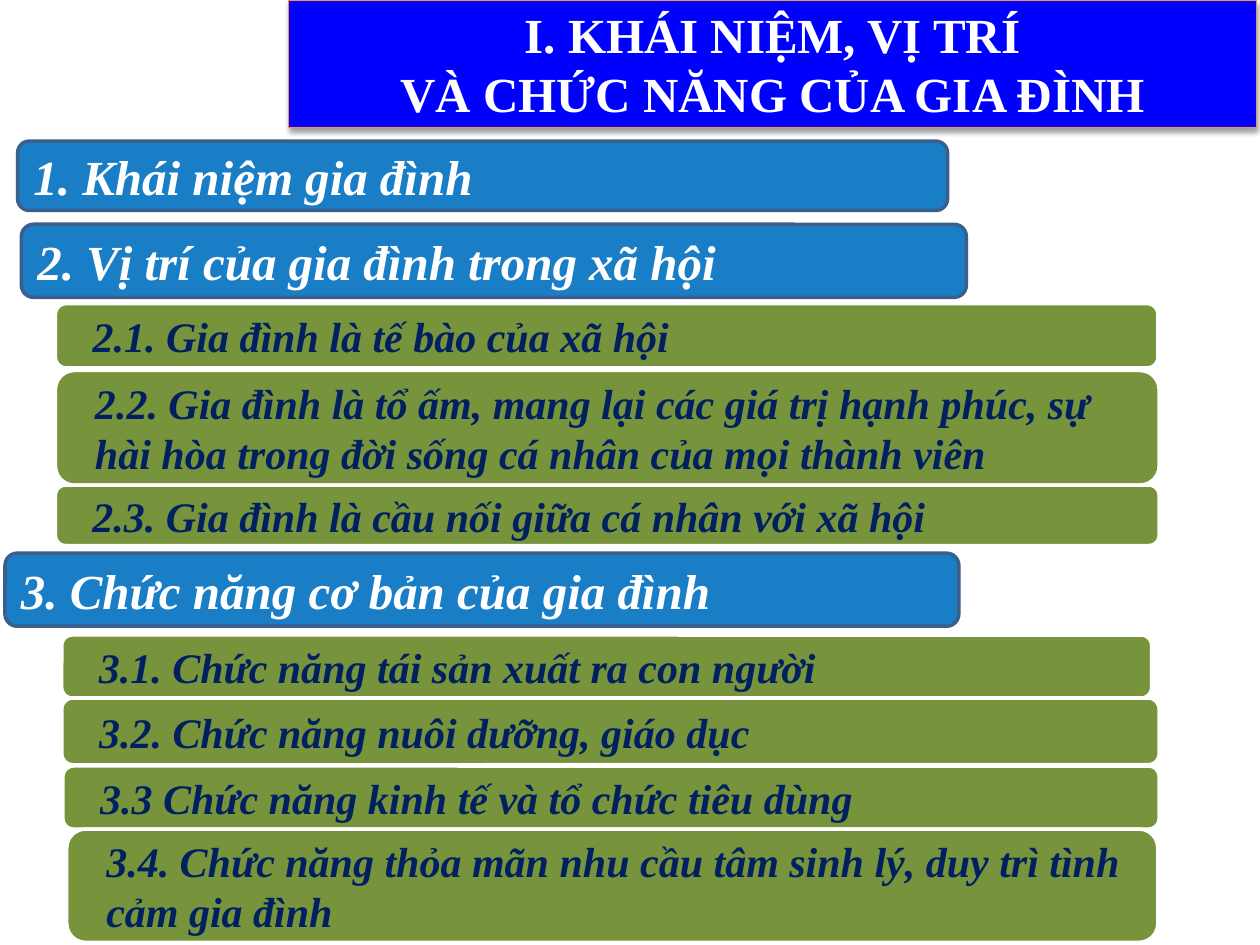
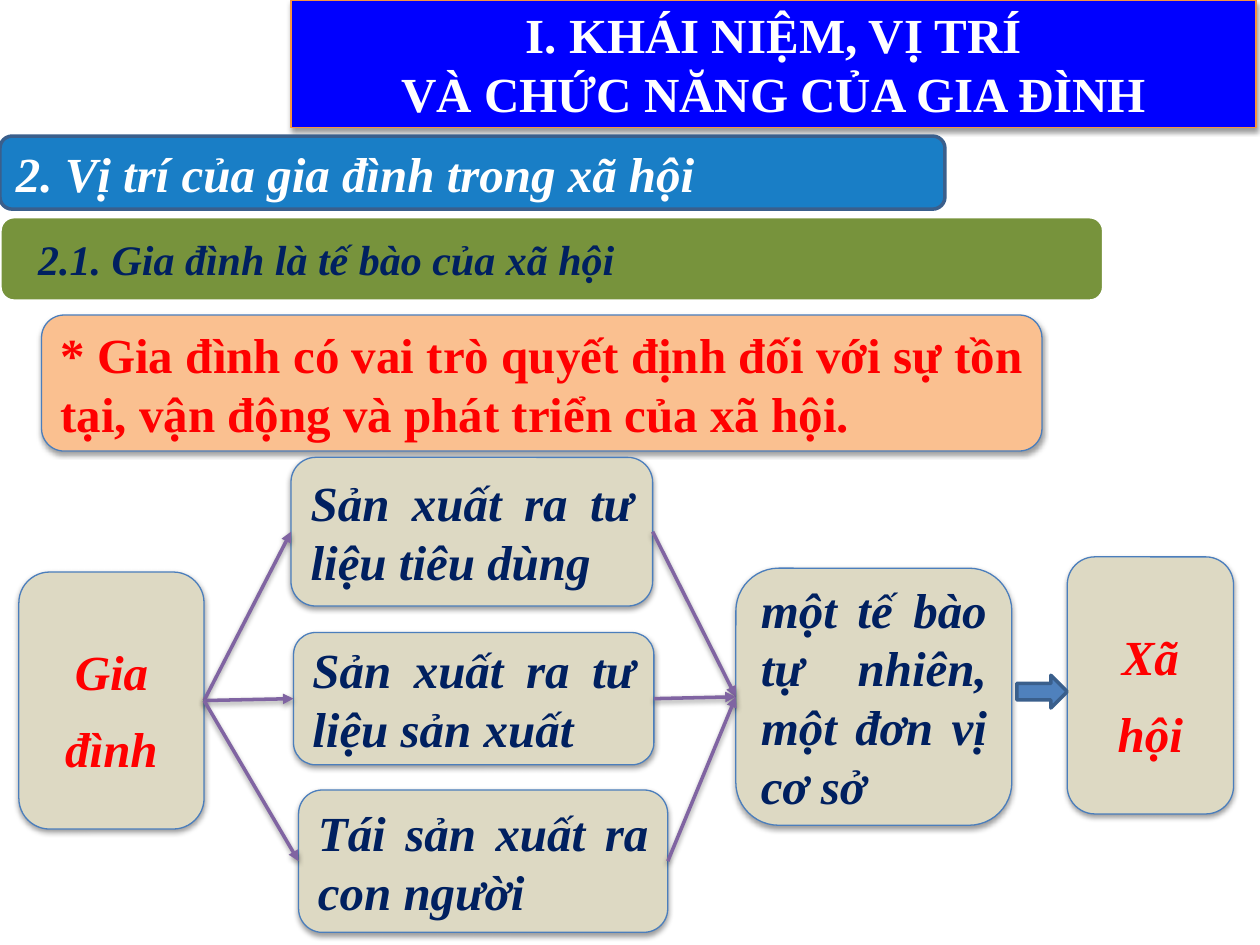
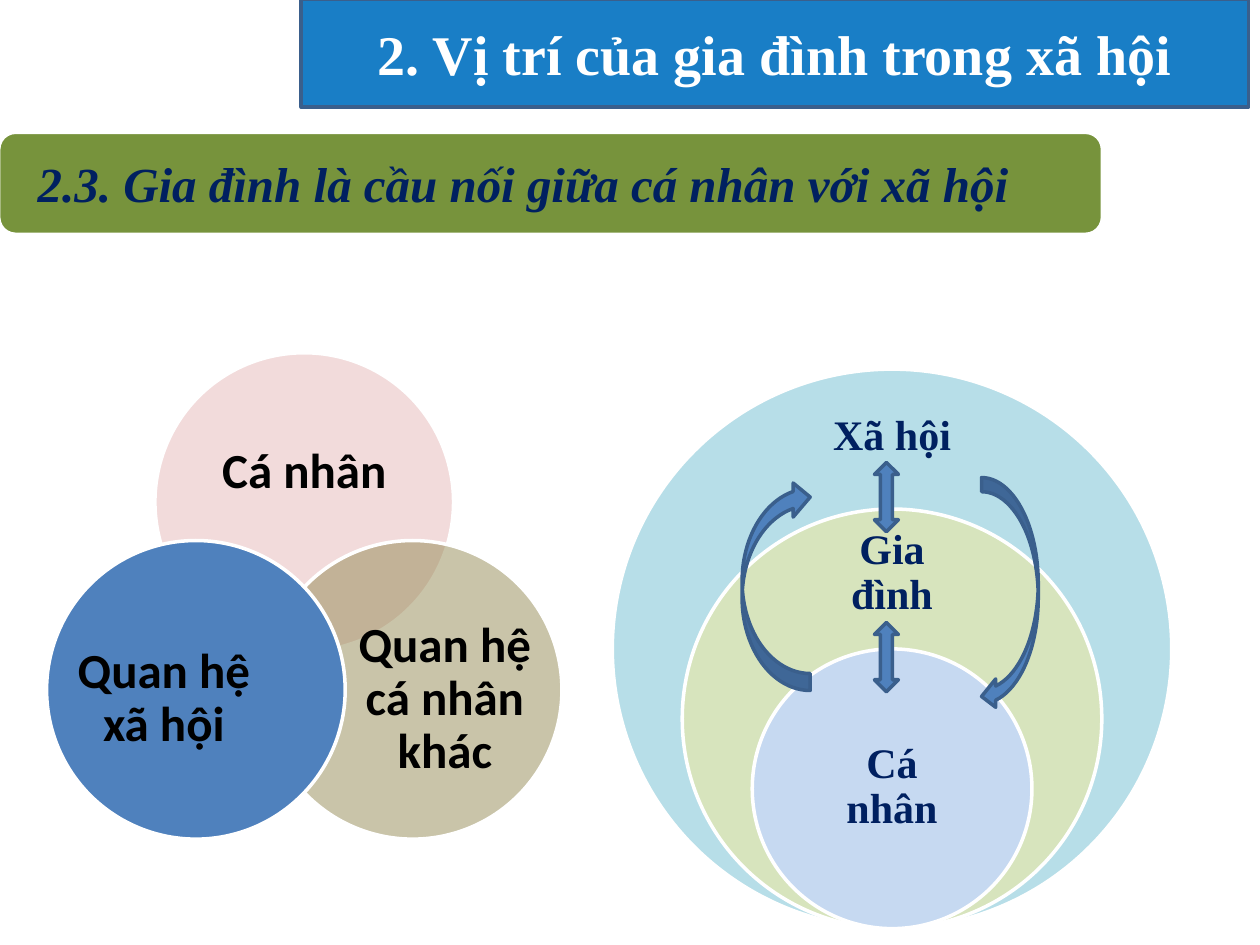
from dataclasses import dataclass, replace
from typing import NamedTuple, Optional

from lxml.etree import SubElement
from pptx import Presentation
from pptx.dml.color import RGBColor
from pptx.enum.shapes import MSO_CONNECTOR, MSO_SHAPE
from pptx.enum.text import MSO_ANCHOR, MSO_AUTO_SIZE, PP_ALIGN
from pptx.oxml import parse_xml
from pptx.oxml.ns import nsdecls, qn
from pptx.util import Inches, Pt


@dataclass(frozen=True)
class Theme:
    serif: str = "Times New Roman"
    sans: str = "Calibri"
    white: str = "FFFFFF"
    black: str = "000000"
    navy: str = "002060"
    red: str = "FF0000"
    banner: str = "0000FF"
    banner_edge: str = "F69240"
    section: str = "0070C0"
    green: str = "77933C"
    peach: str = "FAC090"
    sand: str = "DDD9C3"
    card_edge: str = "4B7EBC"
    arrow: str = "4F81BD"
    arrow_edge: str = "3A5F8C"
    link: str = "8064A2"
    small: int = 24
    normal: int = 28
    large: int = 32


T = Theme()


class Box(NamedTuple):
    left: float
    top: float
    width: float
    height: float


@dataclass(frozen=True)
class TextStyle:
    color: str
    size: int = T.normal
    font: str = T.serif
    italic: bool = False
    align: PP_ALIGN = PP_ALIGN.JUSTIFY
    spacing: float = 1.0
    margins: tuple[float, float, float, float] = (0.1, 0.05, 0.1, 0.05)


@dataclass(frozen=True)
class Look:
    fill: str
    edge: str
    edge_width: float = 2
    opacity: int = 100
    shadow: bool = False


class Circle(NamedTuple):
    left: float
    top: float
    size: float
    fill: str
    opacity: int
    text: str
    label: Box


BANNER = Look(T.banner, T.banner_edge, 0.75, shadow=True)
SECTION = Look(T.section, T.arrow_edge, opacity=90)
BAR = Look(T.green, T.white)
CARD = Look(T.sand, T.card_edge, 0.75, shadow=True)
CLAIM = replace(CARD, fill=T.peach)
ARROW = Look(T.arrow, T.arrow_edge)

TITLE_TEXT = TextStyle(T.white, align=PP_ALIGN.CENTER)
SECTION_TEXT = TextStyle(T.white, italic=True)
BAR_TEXT = TextStyle(T.navy, T.small, italic=True, align=PP_ALIGN.LEFT,
                     margins=(0.27, 0, 0.2, 0))
CLAIM_TEXT = TextStyle(T.red)
STEP_TEXT = TextStyle(T.navy, italic=True)
END_TEXT = TextStyle(T.red, italic=True, align=PP_ALIGN.CENTER, spacing=1.3)
VENN_TEXT = TextStyle(T.black, font=T.sans, align=PP_ALIGN.CENTER,
                      spacing=0.9, margins=(0, 0, 0, 0))
RING_TEXT = replace(VENN_TEXT, color=T.navy, size=T.small, font=T.serif)

CHAPTER = ("I. KHÁI NIỆM, VỊ TRÍ", "VÀ CHỨC NĂNG CỦA GIA ĐÌNH")
POSITION = "2. Vị trí của gia đình trong xã hội"
CELL = "2.1. Gia đình là tế bào của xã hội"
BRIDGE = "2.3. Gia đình là cầu nối giữa cá nhân với xã hội"

OUTLINE_SECTIONS = [
    (Box(0.14, 1.12, 7.38, 0.55), "1. Khái niệm gia đình"),
    (Box(0.17, 1.78, 7.5, 0.58), POSITION),
    (Box(0.04, 4.39, 7.57, 0.58), "3. Chức năng cơ bản của gia đình"),
]
OUTLINE_BARS = [
    (Box(0.44, 2.41, 8.75, 0.51), CELL),
    (Box(0.44, 2.94, 8.76, 0.91), "2.2. Gia đình là tổ ấm, mang lại các giá trị hạnh phúc, "
                                  "sự hài hòa trong đời sống cá nhân của mọi thành viên"),
    (Box(0.44, 3.85, 8.76, 0.48), BRIDGE),
    (Box(0.49, 5.04, 8.65, 0.5), "3.1. Chức năng tái sản xuất ra con người"),
    (Box(0.49, 5.54, 8.71, 0.53), "3.2. Chức năng nuôi dưỡng, giáo dục"),
    (Box(0.5, 6.08, 8.7, 0.5), "3.3 Chức năng kinh tế và tổ chức tiêu dùng"),
    (Box(0.53, 6.58, 8.66, 0.9), "3.4. Chức năng thỏa mãn nhu cầu tâm sinh lý, "
                                 "duy trì tình cảm gia đình"),
]
PRODUCTIONS = [
    (Box(2.31, 3.63, 2.87, 1.18), "Sản xuất ra tư liệu tiêu dùng"),
    (Box(2.33, 5.02, 2.86, 1.05), "Sản xuất ra tư liệu sản xuất"),
    (Box(2.37, 6.27, 2.93, 1.13), "Tái sản xuất ra con người"),
]
VENN = [
    Circle(1.23, 2.8, 2.37, "E6B9B8", 50, "Cá nhân", Box(1.55, 3.22, 1.73, 1.06)),
    Circle(2.09, 4.29, 2.37, "948A54", 50, "Quan hệ cá nhân khác",
           Box(2.82, 4.9, 1.42, 1.3)),
    Circle(0.37, 4.29, 2.37, T.arrow, 100, "Quan hệ xã hội", Box(0.59, 4.9, 1.42, 1.3)),
]
RING_CENTER, RING_BOTTOM = 7.08, 7.37
RINGS = [
    Circle(RING_CENTER - size / 2, RING_BOTTOM - size, size, fill, 100, text,
           Box(RING_CENTER - width / 2, middle - 0.35, width, 0.7))
    for size, fill, text, middle, width in (
        (4.44, "B7DEE8", "Xã hội", 3.47, 1.2),
        (3.33, "D7E4BD", "Gia đình", 4.55, 1.1),
        (2.22, "C6D9F1", "Cá nhân", 6.25, 1.1),
    )
]
RING_ARROWS = [
    (MSO_SHAPE.UP_DOWN_ARROW, Box(6.94, 4.94, 0.19, 0.55), 0),
    (MSO_SHAPE.UP_DOWN_ARROW, Box(6.94, 3.67, 0.19, 0.55), 0),
    (MSO_SHAPE.CURVED_LEFT_ARROW, Box(7.79, 3.79, 0.45, 1.85), 0),
    (MSO_SHAPE.CURVED_LEFT_ARROW, Box(5.89, 3.81, 0.54, 1.67), 180),
]
LEFT_SITE, RIGHT_SITE = 1, 3


def emu(box: Box) -> list[Inches]:
    return [Inches(v) for v in box]


def set_effects(sp_pr, shadow: bool) -> None:
    """Replace the theme effects by a soft drop shadow or by nothing."""
    effects = SubElement(sp_pr, qn("a:effectLst"))
    if shadow:
        effects.append(parse_xml(
            f'<a:outerShdw {nsdecls("a")} blurRad="40000" dist="20000" dir="5400000" '
            f'rotWithShape="0"><a:srgbClr val="{T.black}"><a:alpha val="38000"/>'
            '</a:srgbClr></a:outerShdw>'))


def apply_look(sp, look: Look) -> None:
    sp.fill.solid()
    sp.fill.fore_color.rgb = RGBColor.from_string(look.fill)
    sp.line.color.rgb = RGBColor.from_string(look.edge)
    sp.line.width = Pt(look.edge_width)
    sp_pr = sp.element.spPr
    if look.opacity < 100:
        color = sp_pr.find(qn("a:solidFill"))[0]
        SubElement(color, qn("a:alpha")).set("val", str(look.opacity * 1000))
    set_effects(sp_pr, look.shadow)


def write(sp, lines: tuple[str, ...], style: TextStyle) -> None:
    tf = sp.text_frame
    left, top, right, bottom = (Inches(m) for m in style.margins)
    frame = {"word_wrap": True, "auto_size": MSO_AUTO_SIZE.NONE,
             "vertical_anchor": MSO_ANCHOR.MIDDLE, "margin_left": left,
             "margin_top": top, "margin_right": right, "margin_bottom": bottom}
    for name, value in frame.items():
        setattr(tf, name, value)
    font = {"name": style.font, "size": Pt(style.size), "bold": True,
            "italic": style.italic}
    for i, line in enumerate(lines):
        p = tf.add_paragraph() if i else tf.paragraphs[0]
        p.alignment, p.line_spacing = style.align, style.spacing
        r = p.add_run()
        r.text = line
        for name, value in font.items():
            setattr(r.font, name, value)
        r.font.color.rgb = RGBColor.from_string(style.color)


def add_panel(s, box: Box, look: Look, text: str = "",
              style: Optional[TextStyle] = None,
              kind: MSO_SHAPE = MSO_SHAPE.ROUNDED_RECTANGLE):
    sp = s.shapes.add_shape(kind, *emu(box))
    apply_look(sp, look)
    if style:
        write(sp, (text,), style)
    return sp


def add_titled_slide(prs, box: Box, look: Look, lines: tuple[str, ...],
                     style: TextStyle = TITLE_TEXT):
    s = prs.slides.add_slide(prs.slide_layouts[5])
    sp = s.shapes.title
    sp.left, sp.top, sp.width, sp.height = emu(box)
    sp.element.spPr.insert(1, parse_xml(
        f'<a:prstGeom {nsdecls("a")} prst="roundRect"><a:avLst/></a:prstGeom>'))
    apply_look(sp, look)
    write(sp, lines, style)
    return s


def add_link(s, source, target) -> None:
    """Draw an arrow from the right side of source to the left side of target."""
    c = s.shapes.add_connector(MSO_CONNECTOR.STRAIGHT, 0, 0, 0, 0)
    c.begin_connect(source, RIGHT_SITE)
    c.end_connect(target, LEFT_SITE)
    c.line.color.rgb = RGBColor.from_string(T.link)
    c.line.width = Pt(2)
    SubElement(c.line._get_or_add_ln(), qn("a:tailEnd")).set("type", "triangle")
    set_effects(c.element.spPr, True)


def add_circles(s, circles: list[Circle], style: TextStyle) -> None:
    for c in circles:
        add_panel(s, Box(c.left, c.top, c.size, c.size),
                  Look(c.fill, T.white, opacity=c.opacity), kind=MSO_SHAPE.OVAL)
        write(s.shapes.add_textbox(*emu(c.label)), (c.text,), style)


def add_outline_slide(prs) -> None:
    s = add_titled_slide(prs, Box(2.29, 0, 7.68, 1.01), BANNER, CHAPTER)
    for box, text in OUTLINE_SECTIONS:
        add_panel(s, box, SECTION, text, SECTION_TEXT)
    for box, text in OUTLINE_BARS:
        add_panel(s, box, BAR, text, BAR_TEXT)


def add_cell_slide(prs) -> None:
    s = add_titled_slide(prs, Box(2.31, 0, 7.66, 1.01), BANNER, CHAPTER)
    add_panel(s, Box(0, 1.08, 7.5, 0.58), SECTION, POSITION, SECTION_TEXT)
    add_panel(s, Box(0, 1.72, 8.76, 0.67), BAR, CELL, BAR_TEXT)
    add_panel(s, Box(0.33, 2.5, 7.94, 1.08), CLAIM,
              "* Gia đình có vai trò quyết định đối với sự tồn tại, "
              "vận động và phát triển của xã hội.", CLAIM_TEXT)
    family = add_panel(s, Box(0.15, 4.54, 1.47, 2.04), CARD, "Gia đình", END_TEXT)
    add_panel(s, Box(8.47, 4.42, 1.32, 2.04), CARD, "Xã hội", END_TEXT)
    unit = add_panel(s, Box(5.84, 4.51, 2.19, 2.04), CARD,
                     "một tế bào tự nhiên, một đơn vị cơ sở", STEP_TEXT)
    steps = [add_panel(s, box, CARD, text, STEP_TEXT) for box, text in PRODUCTIONS]
    for step in steps:
        add_link(s, family, step)
        add_link(s, step, unit)
    add_panel(s, Box(8.07, 5.36, 0.4, 0.26), ARROW, kind=MSO_SHAPE.RIGHT_ARROW)


def add_bridge_slide(prs) -> None:
    s = add_titled_slide(prs, Box(2.39, -0.01, 7.52, 0.86), SECTION, (POSITION,),
                         replace(TITLE_TEXT, size=T.large))
    add_panel(s, Box(-0.01, 1.05, 8.76, 0.81), BAR, BRIDGE,
              replace(BAR_TEXT, size=T.normal))
    add_circles(s, VENN, VENN_TEXT)
    add_circles(s, RINGS, RING_TEXT)
    for kind, box, rotation in RING_ARROWS:
        add_panel(s, box, ARROW, kind=kind).rotation = rotation


def main() -> None:
    prs = Presentation()
    prs.slide_width, prs.slide_height = Inches(10), Inches(7.5)
    add_outline_slide(prs)
    add_cell_slide(prs)
    add_bridge_slide(prs)
    prs.save("out.pptx")


if __name__ == "__main__":
    main()
